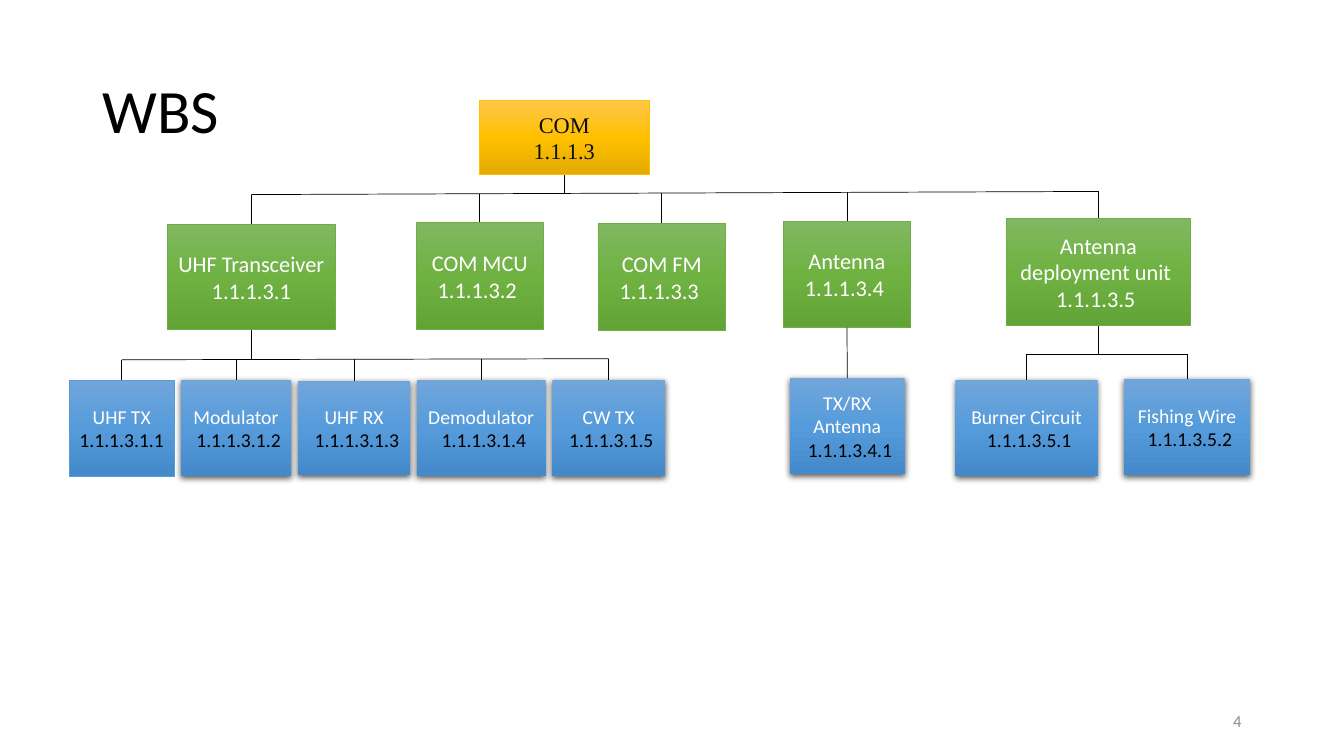
from copy import deepcopy

from lxml import etree
from pptx import Presentation
from pptx.dml.color import RGBColor
from pptx.enum.shapes import MSO_CONNECTOR, MSO_SHAPE
from pptx.enum.text import MSO_ANCHOR, PP_ALIGN
from pptx.oxml.ns import qn
from pptx.util import Pt

RECT, STRAIGHT = MSO_SHAPE.RECTANGLE, MSO_CONNECTOR.STRAIGHT
MIDDLE = MSO_ANCHOR.MIDDLE
LEFT, CENTER, RIGHT = PP_ALIGN.LEFT, PP_ALIGN.CENTER, PP_ALIGN.RIGHT
TOP_SIDE, BOTTOM_SIDE = 0, 2

COLORS = {"black": "000000", "white": "FFFFFF", "ink": "0D0D0D",
          "gray": "8C8C8C", "gold": "FFC000", "green": "70AD47", "blue": "5B9BD5"}

# Box looks: gradient, outline, text size, font, name colour, number colour, inset
LEVELS = {
    "system": (("FFC64B", "FFC000", "E3AB00"), "gold", 16,
               "Times New Roman", "ink", "ink", 3.6),
    "unit": (("81B861", "6FB242", "62A336"), "green", 16,
             "Calibri", "white", "white", 7.2),
    "part": (("71A6DB", "559BDB", "448ACA"), "blue", 14,
             "Calibri", "white", "black", 7.2),
}

# Key: level, paragraphs, (left, top, width, height), raised with a shadow
BOXES = {
    "com": ("system", ["COM", "1.1.1.3"], (342.5, 71.75, 121, 53), False),
    "uhf": ("unit", ["UHF Transceiver", "1.1.1.3.1"], (119.5, 160, 120, 75.5), False),
    "mcu": ("unit", ["COM MCU 1.1.1.3.2 "], (297.25, 158.75, 91, 76.5), False),
    "fm": ("unit", ["COM FM 1.1.1.3.3 "], (427.25, 159.5, 91, 76.5), False),
    "ant": ("unit", ["Antenna", "1.1.1.3.4 "], (559.5, 158, 91, 76), False),
    "adu": ("unit", ["Antenna deployment unit ", "1.1.1.3.5 "],
            (718.75, 155.75, 131.5, 77), False),
    "tx": ("part", ["UHF TX", "1.1.1.3.1.1"], (49.5, 271.5, 75, 68.5), False),
    "mod": ("part", ["Modulator", "1.1.1.3.1.2"], (129, 271.5, 79, 68.5), True),
    "rx": ("part", ["UHF RX", "1.1.1.3.1.3"], (213, 272, 80, 67.5), True),
    "demod": ("part", ["Demodulator", "1.1.1.3.1.4"], (297.75, 271.5, 92, 68.5), True),
    "cw": ("part", ["CW TX", "1.1.1.3.1.5"], (394.5, 271.5, 80.5, 68.5), True),
    "txrx": ("part", ["TX/RX Antenna", "1.1.1.3.4.1"], (564.25, 270, 82, 68.5), True),
    "burner": ("part", ["Burner Circuit", "1.1.1.3.5.1"],
               (682.5, 271.5, 101.5, 68.5), True),
    "wire": ("part", ["Fishing Wire", "1.1.1.3.5.2"], (803, 270.75, 90, 68.5), True),
}

# Parent, children, height of the bus at its left and right end
BRANCHES = [
    ("com", ["uhf", "mcu", "fm", "ant", "adu"], 139, 136.75),
    ("uhf", ["tx", "mod", "rx", "demod", "cw"], 257, 256.25),
    ("adu", ["burner", "wire"], 253, 253),
]

# Text, (left, top, width, height), size, colour, alignment, line spacing
LABELS = [
    ("WBS", (66, 28.75, 828, 104.5), 44, "black", LEFT, 0.9),
    ("4", (678, 500.5, 216, 28.75), 12, "gray", RIGHT, 1),
]

prs = Presentation()
prs.slide_width, prs.slide_height = Pt(960), Pt(540)
s = prs.slides.add_slide(prs.slide_layouts[6])


def rgb(name):
    return RGBColor.from_string(COLORS[name])


def add_run(p, text, size, color, font):
    r = p.add_run()
    r.text = text
    r.font.size, r.font.name = Pt(size), font
    r.font.color.rgb = rgb(color)


def fill_gradient(sp, shades):
    sp.fill.gradient()
    sp.fill.gradient_angle = 270
    stops = sp._element.spPr.find(qn("a:gradFill")).find(qn("a:gsLst"))
    stops.insert(1, deepcopy(stops[0]))
    for i, (stop, shade) in enumerate(zip(sp.fill.gradient_stops, shades)):
        stop.position = i / 2
        stop.color.rgb = RGBColor.from_string(shade)


def add_shadow(sp):
    effects = sp._element.spPr.find(qn("a:effectLst"))
    shadow = etree.SubElement(effects, qn("a:outerShdw"), blurRad=str(Pt(4.5)),
                              dist=str(Pt(1.5)), dir="5400000", rotWithShape="0")
    color = etree.SubElement(shadow, qn("a:srgbClr"), val=COLORS["black"])
    etree.SubElement(color, qn("a:alpha"), val="63000")


def add_box(level, lines, place, raised):
    shades, outline, size, font, name_color, number_color, inset = LEVELS[level]
    sp = s.shapes.add_shape(RECT, *map(Pt, place))
    sp.shadow.inherit = False
    fill_gradient(sp, shades)
    if raised:
        sp.line.fill.background()
        add_shadow(sp)
    else:
        sp.line.color.rgb = rgb(outline)
        sp.line.width = Pt(0.5)
    tf = sp.text_frame
    tf.word_wrap, tf.vertical_anchor = True, MIDDLE
    tf.margin_left = tf.margin_right = Pt(7.2)
    tf.margin_top = tf.margin_bottom = Pt(inset)
    for i, line in enumerate(lines):
        p = tf.add_paragraph() if i else tf.paragraphs[0]
        p.alignment = CENTER
        if i and raised:
            add_run(p, " ", size, number_color, "Arial")
        add_run(p, line, size, number_color if i else name_color, font)
    return sp


def add_line(x1, y1, x2, y2, parent=None, child=None):
    c = s.shapes.add_connector(STRAIGHT, Pt(x1), Pt(y1), Pt(x2), Pt(y2))
    c.line.color.rgb = rgb("black")
    c.line.width = Pt(0.5)
    etree.SubElement(c._element.spPr, qn("a:effectLst"))
    if parent:
        c.begin_connect(shapes[parent], BOTTOM_SIDE)
    if child:
        c.end_connect(shapes[child], TOP_SIDE)


def top_middle(key):
    left, top, width, _ = BOXES[key][2]
    return left + width / 2, top


def bottom_middle(key):
    x, top = top_middle(key)
    return x, top + BOXES[key][2][3]


# Title and slide number
for text, place, size, color, align, spacing in LABELS:
    tf = s.shapes.add_textbox(*map(Pt, place)).text_frame
    tf.word_wrap, tf.vertical_anchor = True, MIDDLE
    p = tf.paragraphs[0]
    p.alignment, p.line_spacing = align, spacing
    add_run(p, text, size, color, "Calibri")

# Work packages
shapes = {key: add_box(*box) for key, box in BOXES.items()}

# Stem, bus and drops of each branch
for parent, children, y_left, y_right in BRANCHES:
    x_left, x_right = top_middle(children[0])[0], top_middle(children[-1])[0]
    slope = (y_right - y_left) / (x_right - x_left)
    add_line(x_left, y_left, x_right, y_right)
    x, y = bottom_middle(parent)
    add_line(x, y, x, y_left + slope * (x - x_left), parent=parent)
    for child in children:
        x, y = top_middle(child)
        add_line(x, y_left + slope * (x - x_left), x, y, child=child)

# Single child of the antenna
add_line(*bottom_middle("ant"), *top_middle("txrx"), parent="ant", child="txrx")

prs.save("out.pptx")
